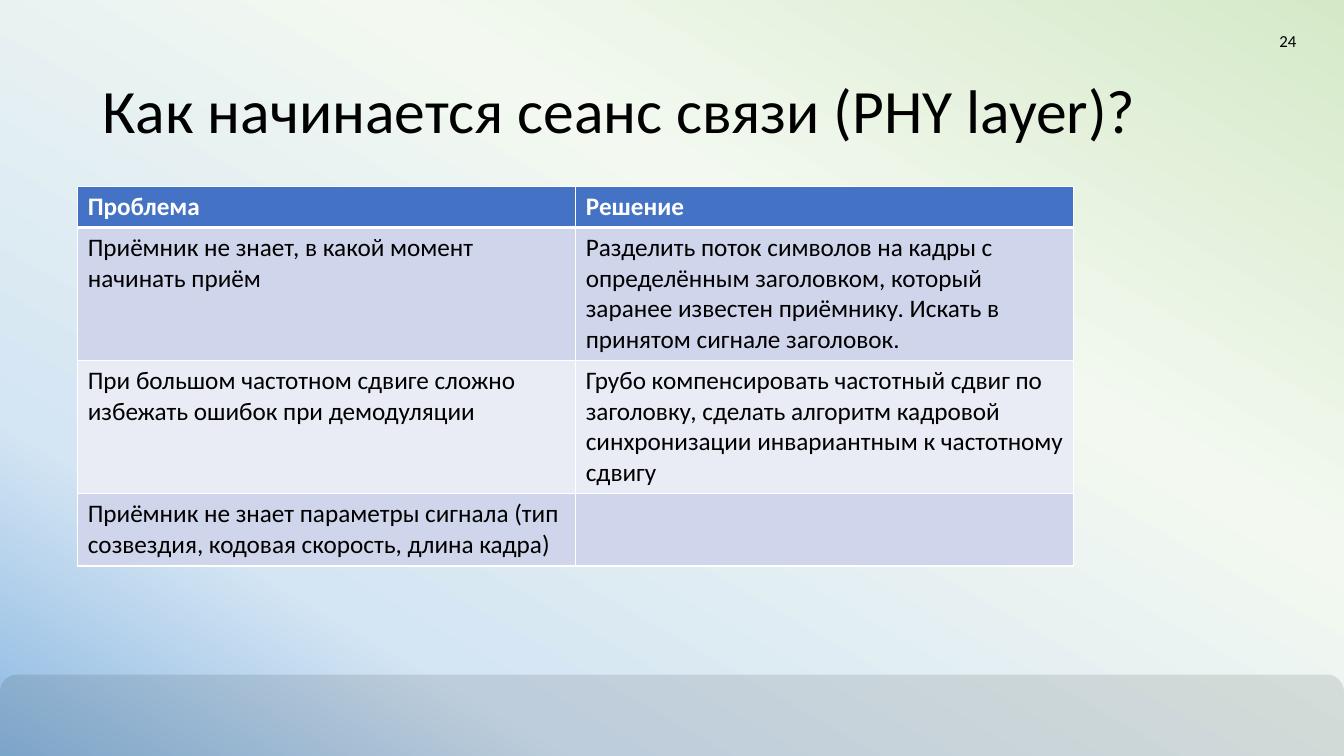
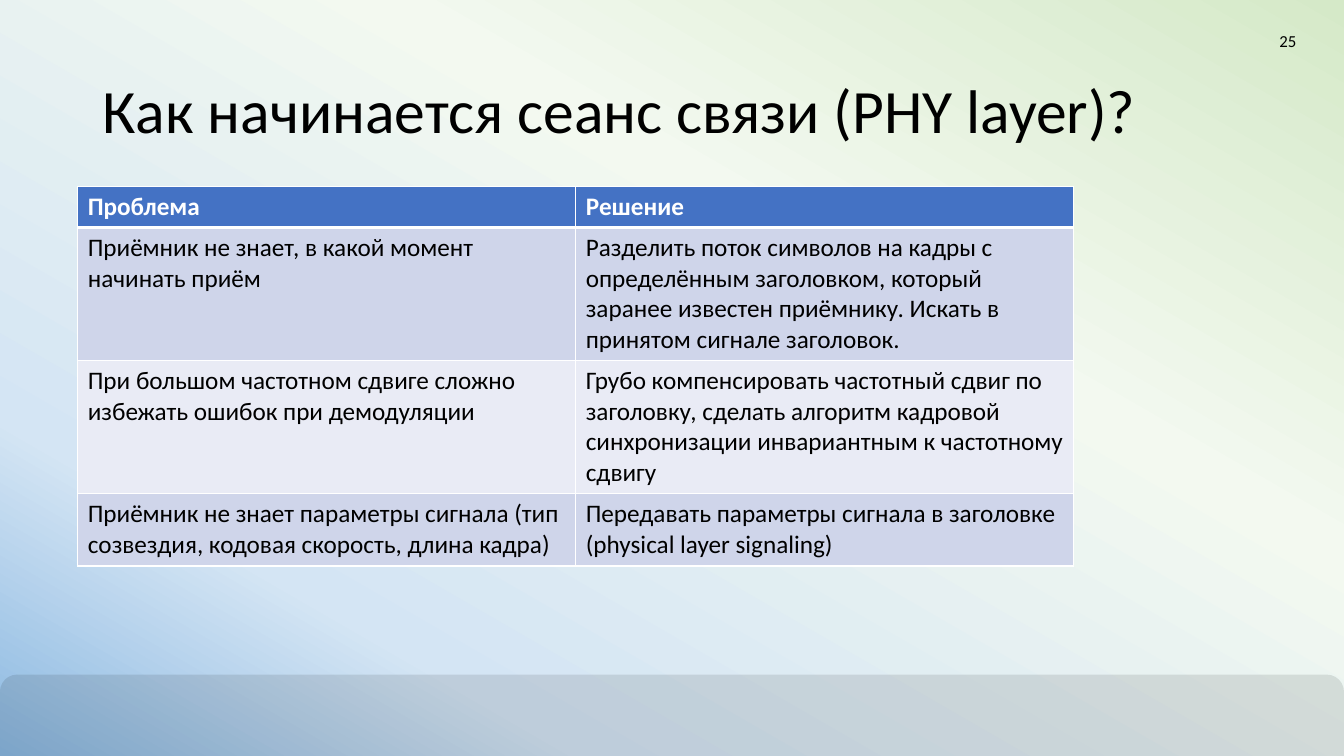
from lxml.etree import SubElement
from pptx import Presentation
from pptx.dml.color import RGBColor
from pptx.enum.shapes import MSO_SHAPE
from pptx.enum.text import MSO_ANCHOR, PP_ALIGN
from pptx.oxml import parse_xml
from pptx.oxml.ns import nsdecls, qn
from pptx.util import Cm, Pt

FONT = "Calibri"
BLACK, WHITE, HEADER_BLUE = "000000", "FFFFFF", "4472C4"
ROW_BANDS = ("CFD5EA", "E9EBF5")
BACKGROUND_STOPS = ((0, "D5E9C8"), (36, "F3F9F0"), (78, "D4E5F4"), (100, "8BB8E1"))
BACKGROUND_ANGLE = 240
SLIDE_WIDTH, SLIDE_HEIGHT = 33.87, 19.05
BAND_TOP = 17
COLUMN_WIDTH = 12.55
ROW_HEIGHTS = (1.03, 3.35, 3.35, 1.83)

TITLE = "Как начинается сеанс связи (PHY layer)?"
HEADINGS = ("Проблема", "Решение")
PROBLEMS = (
    "Приёмник не знает, в какой момент начинать приём",
    "При большом частотном сдвиге сложно избежать ошибок при демодуляции",
    "Приёмник не знает параметры сигнала (тип созвездия, кодовая скорость, длина кадра)",
)
SOLUTIONS = (
    "Разделить поток символов на кадры с определённым заголовком, который "
    "заранее известен приёмнику. Искать в принятом сигнале заголовок.",
    "Грубо компенсировать частотный сдвиг по заголовку, сделать алгоритм "
    "кадровой синхронизации инвариантным к частотному сдвигу",
    "Передавать параметры сигнала в заголовке (physical layer signaling)",
)


def rgb(hex_color):
    """Turn a hex string into a colour."""
    return RGBColor.from_string(hex_color)


def set_background(master):
    """Give every slide the diagonal green-to-blue gradient."""
    fill = master.background.fill
    fill.gradient()
    fill.gradient_angle = BACKGROUND_ANGLE
    stops = master.element.cSld.find(".//" + qn("a:gsLst"))
    for old_stop in list(stops):
        stops.remove(old_stop)
    for position, color in BACKGROUND_STOPS:
        stop = SubElement(stops, qn("a:gs"), pos=str(position * 1000))
        SubElement(stop, qn("a:srgbClr"), val=color)


def write(text_frame, text, size, color=BLACK, bold=False):
    """Fill a text frame with one formatted paragraph and return it."""
    text_frame.text = text
    paragraph = text_frame.paragraphs[0]
    for run in paragraph.runs:
        run.font.name = FONT
        run.font.size = Pt(size)
        run.font.bold = bold
        run.font.color.rgb = rgb(color)
    return paragraph


def add_text(slide, left, top, width, height, text, size):
    """Add a wrapped, vertically centred text box and return its paragraph."""
    box = slide.shapes.add_textbox(Cm(left), Cm(top), Cm(width), Cm(height))
    box.text_frame.word_wrap = True
    box.text_frame.vertical_anchor = MSO_ANCHOR.MIDDLE
    return write(box.text_frame, text, size)


def add_footer_band(slide):
    """Add the translucent band with rounded top corners."""
    band = slide.shapes.add_shape(
        MSO_SHAPE.ROUND_2_SAME_RECTANGLE,
        Cm(0), Cm(BAND_TOP), Cm(SLIDE_WIDTH), Cm(SLIDE_HEIGHT - BAND_TOP),
    )
    band.adjustments[0] = 0.21
    band.shadow.inherit = False
    band.line.fill.background()
    band.fill.solid()
    band.fill.fore_color.rgb = rgb(BLACK)
    color = band.fill._xPr.find(".//" + qn("a:srgbClr"))
    SubElement(color, qn("a:alpha"), val="10000")


def set_borders(cell, top, bottom):
    """Draw white cell borders, with top and bottom widths in points."""
    properties = cell._tc.get_or_add_tcPr()
    widths = (("lnL", 1), ("lnR", 1), ("lnT", top), ("lnB", bottom))
    for index, (side, width) in enumerate(widths):
        border = parse_xml(
            f'<a:{side} {nsdecls("a")} w="{Pt(width)}"><a:solidFill>'
            f'<a:srgbClr val="{WHITE}"/></a:solidFill></a:{side}>'
        )
        properties.insert(index, border)


def add_solution_table(slide, solutions):
    """Add the table of problems and their solutions."""
    rows = (HEADINGS, *zip(PROBLEMS, solutions))
    table = slide.shapes.add_table(
        len(rows), len(HEADINGS), Cm(1.96), Cm(4.7),
        Cm(COLUMN_WIDTH * len(HEADINGS)), Cm(sum(ROW_HEIGHTS)),
    ).table
    table.horz_banding = False
    for column in table.columns:
        column.width = Cm(COLUMN_WIDTH)
    for row_index, (texts, height) in enumerate(zip(rows, ROW_HEIGHTS)):
        table.rows[row_index].height = Cm(height)
        is_header = row_index == 0
        row_color = HEADER_BLUE if is_header else ROW_BANDS[(row_index - 1) % 2]
        for column_index, text in enumerate(texts):
            cell = table.cell(row_index, column_index)
            write(cell.text_frame, text, 18, WHITE if is_header else BLACK, is_header)
            cell.fill.solid()
            cell.fill.fore_color.rgb = rgb(row_color)
            set_borders(cell, 3 if row_index == 1 else 1, 3 if is_header else 1)


def add_session_slide(presentation, number, solutions):
    """Add one slide with its band, title, number and table."""
    slide = presentation.slides.add_slide(presentation.slide_layouts[6])
    add_footer_band(slide)
    title = add_text(slide, 2.34, 1.02, 29.21, 3.68, TITLE, 44)
    title.line_spacing = 0.9
    page_number = add_text(slide, 25.3, 0.51, 7.62, 1.02, str(number), 12)
    page_number.alignment = PP_ALIGN.RIGHT
    add_solution_table(slide, solutions)


def main():
    """Build and save the presentation."""
    presentation = Presentation()
    presentation.slide_width = Cm(SLIDE_WIDTH)
    presentation.slide_height = Cm(SLIDE_HEIGHT)
    set_background(presentation.slide_master)
    add_session_slide(presentation, 24, (*SOLUTIONS[:-1], ""))
    add_session_slide(presentation, 25, SOLUTIONS)
    presentation.save("out.pptx")


if __name__ == "__main__":
    main()
